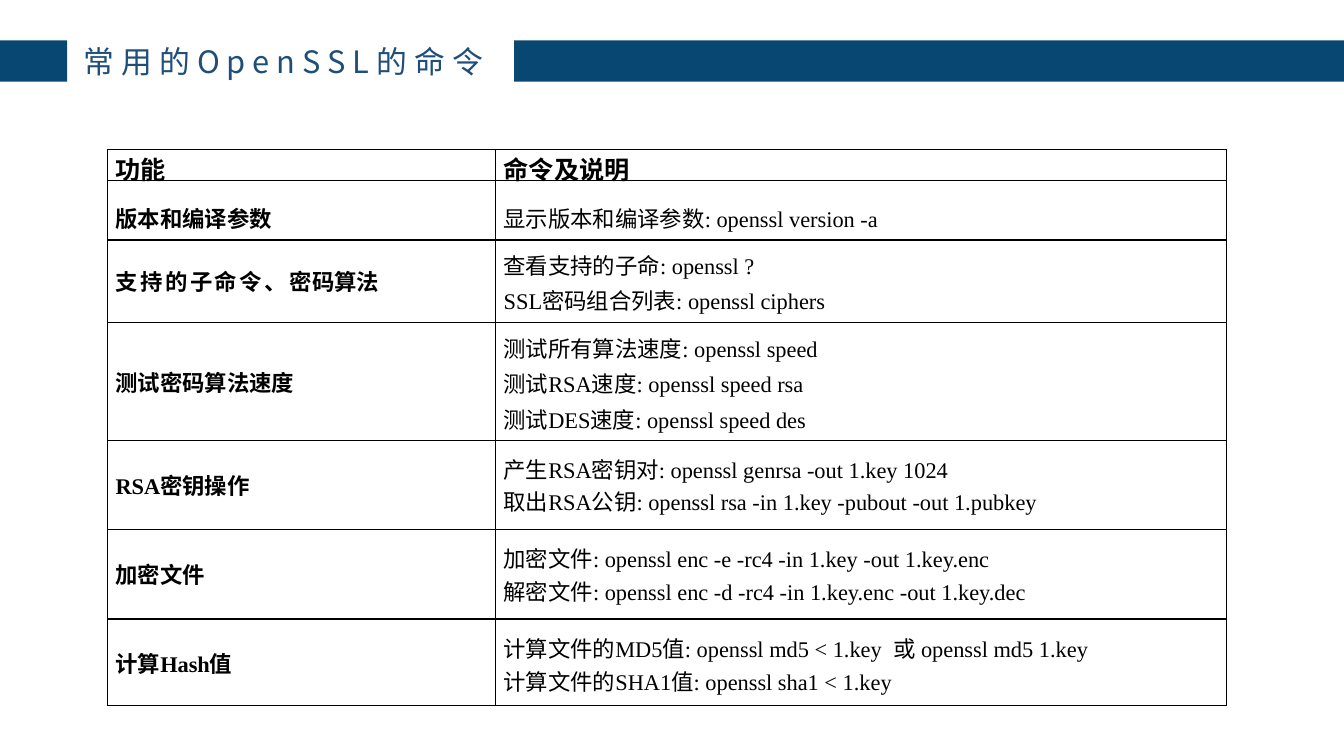
from itertools import groupby

from lxml.etree import SubElement
from pptx import Presentation
from pptx.dml.color import RGBColor
from pptx.enum.shapes import MSO_SHAPE as Shape
from pptx.enum.text import MSO_ANCHOR as Anchor
from pptx.oxml.ns import qn
from pptx.util import Inches, Pt

CJK_FONT, LATIN_FONT = "Noto Sans CJK SC", "Times New Roman"
NAVY, TITLE_BLUE, BLACK = "084772", "1F4E79", "000000"


def rgb(hex_string):
    return RGBColor.from_string(hex_string)


def is_cjk(char):
    return ord(char) > 0x2E80


class Deck:
    """Style and current slide; lengths are columns and rows of an 80 x 45 grid."""

    def __init__(self):
        self.prs = Presentation()
        self.prs.slide_width, self.prs.slide_height = Inches(13.33), Inches(7.5)
        self.slide = self.prs.slides.add_slide(self.prs.slide_layouts[6])

    def x(self, columns):
        return round(self.prs.slide_width * columns / 80)

    def y(self, rows):
        return round(self.prs.slide_height * rows / 45)

    def box(self, left, top, width, height):
        return self.x(left), self.y(top), self.x(width), self.y(height)

    def bar(self, *place):
        bar = self.slide.shapes.add_shape(Shape.RECTANGLE, *self.box(*place))
        bar.shadow.inherit = False
        bar.fill.solid()
        bar.fill.fore_color.rgb = rgb(NAVY)
        bar.line.fill.background()

    def run(self, paragraph, text, font, spacing=0):
        run = paragraph.add_run()
        run.text = text
        run.font.name = font
        props = run.font._element
        SubElement(props, qn("a:ea")).set("typeface", font)
        if spacing:
            props.set("spc", str(round(spacing * 100)))

    def style(self, paragraph, size, color, bold=False, before=0):
        paragraph.font.size = Pt(size)
        paragraph.font.bold = bold
        paragraph.font.color.rgb = rgb(color)
        paragraph.space_before = Pt(before)

    def title(self, text, *place):
        frame = self.slide.shapes.add_textbox(*self.box(*place)).text_frame
        frame.word_wrap = True
        frame.vertical_anchor = Anchor.MIDDLE
        frame.margin_left = frame.margin_right = frame.margin_bottom = 0
        frame.margin_top = Inches(0.01)
        self.style(frame.paragraphs[0], 22, TITLE_BLUE, before=1.1)
        self.run(frame.paragraphs[0], text, CJK_FONT, spacing=5)

    def border(self, cell):
        props = cell._tc.get_or_add_tcPr()
        for position, side in enumerate(("lnL", "lnR", "lnT", "lnB")):
            line = SubElement(props, qn(f"a:{side}"), w=str(Pt(1)))
            fill = SubElement(line, qn("a:solidFill"))
            SubElement(fill, qn("a:srgbClr"), val=BLACK)
            props.insert(position, line)

    def cell(self, cell, lines, size, bold, top, before, anchor, spread=0):
        """Fill a cell; text ahead of a | is letter-spaced by spread."""
        cell.fill.background()
        self.border(cell)
        cell.vertical_anchor = anchor
        cell.margin_left = cell.margin_right = cell.margin_bottom = 0
        cell.margin_top = Inches(top)
        frame = cell.text_frame
        for number, line in enumerate(lines):
            paragraph = frame.add_paragraph() if number else frame.paragraphs[0]
            self.style(paragraph, size, BLACK, bold, before)
            paragraph._p.get_or_add_pPr().set("marL", str(Inches(0.08)))
            spaced, bar, plain = line.rpartition("|")
            for part, spacing in ((spaced, spread), (plain, 0)):
                for cjk, chars in groupby(part, is_cjk):
                    font = CJK_FONT if cjk else LATIN_FONT
                    self.run(paragraph, "".join(chars), font, spacing)

    def table(self, left, top, widths, rows):
        heights = [row[0] for row in rows]
        place = self.box(left, top, sum(widths), sum(heights))
        table = self.slide.shapes.add_table(len(rows), len(widths), *place).table
        table.horz_banding = False
        for column, width in zip(table.columns, widths):
            column.width = self.x(width)
        for r, (height, *cells) in enumerate(rows):
            table.rows[r].height = self.y(height)
            for c, (lines, margin, before) in enumerate(cells):
                header = r == 0
                self.cell(table.cell(r, c), lines, 18 if header else 16,
                          header or c == 0, margin, before,
                          Anchor.TOP if header else Anchor.MIDDLE, spread=1.8)
        return table


# Row height, then for each cell: lines, top margin (inches), space before (points)
COMMANDS = [
    (1.75, (["功能"], 0.01, 0.6), (["命令及说明"], 0.01, 0.6)),
    (3.53, (["版本和编译参数"], 0.15, 11.1),
     (["显示版本和编译参数: openssl version -a"], 0.15, 11.1)),
    (4.92, (["支持的子命令、|密码算法"], 0.05, 4),
     (["查看支持的子命: openssl ?", "SSL密码组合列表: openssl ciphers"], 0.02, 1.6)),
    (7.02, (["测试密码算法速度"], 0.01, 0),
     (["测试所有算法速度: openssl speed", "测试RSA速度: openssl speed rsa",
       "测试DES速度: openssl speed des"], 0.03, 2.5)),
    (5.28, (["RSA密钥操作"], 0, 12.7),
     (["产生RSA密钥对: openssl genrsa -out 1.key 1024",
       "取出RSA公钥: openssl rsa -in 1.key -pubout -out 1.pubkey"], 0, 0)),
    (5.34, (["加密文件"], 0, 13.9),
     (["加密文件: openssl enc -e -rc4 -in 1.key -out 1.key.enc",
       "解密文件: openssl enc -d -rc4 -in 1.key.enc -out 1.key.dec"], 0, 0)),
    (5.16, (["计算Hash值"], 0.01, 0),
     (["计算文件的MD5值: openssl md5 < 1.key  或 openssl md5 1.key",
       "计算文件的SHA1值: openssl sha1 < 1.key"], 0.04, 0)),
]


def main():
    deck = Deck()

    # Title between two bars
    deck.title("常用的OpenSSL的命令", 5, 2.46, 25.56, 2.28)
    deck.bar(30.6, 2.4, 49.4, 2.46)
    deck.bar(0, 2.4, 4, 2.46)

    # Command table
    table = deck.table(6.4, 8.9, (23.1, 43.5), COMMANDS)
    table.cell(2, 0).text_frame.paragraphs[0].line_spacing = Pt(18.2)
    table.cell(6, 1).text_frame.paragraphs[0].space_before = Pt(2.5)

    deck.prs.save("out.pptx")


if __name__ == "__main__":
    main()
